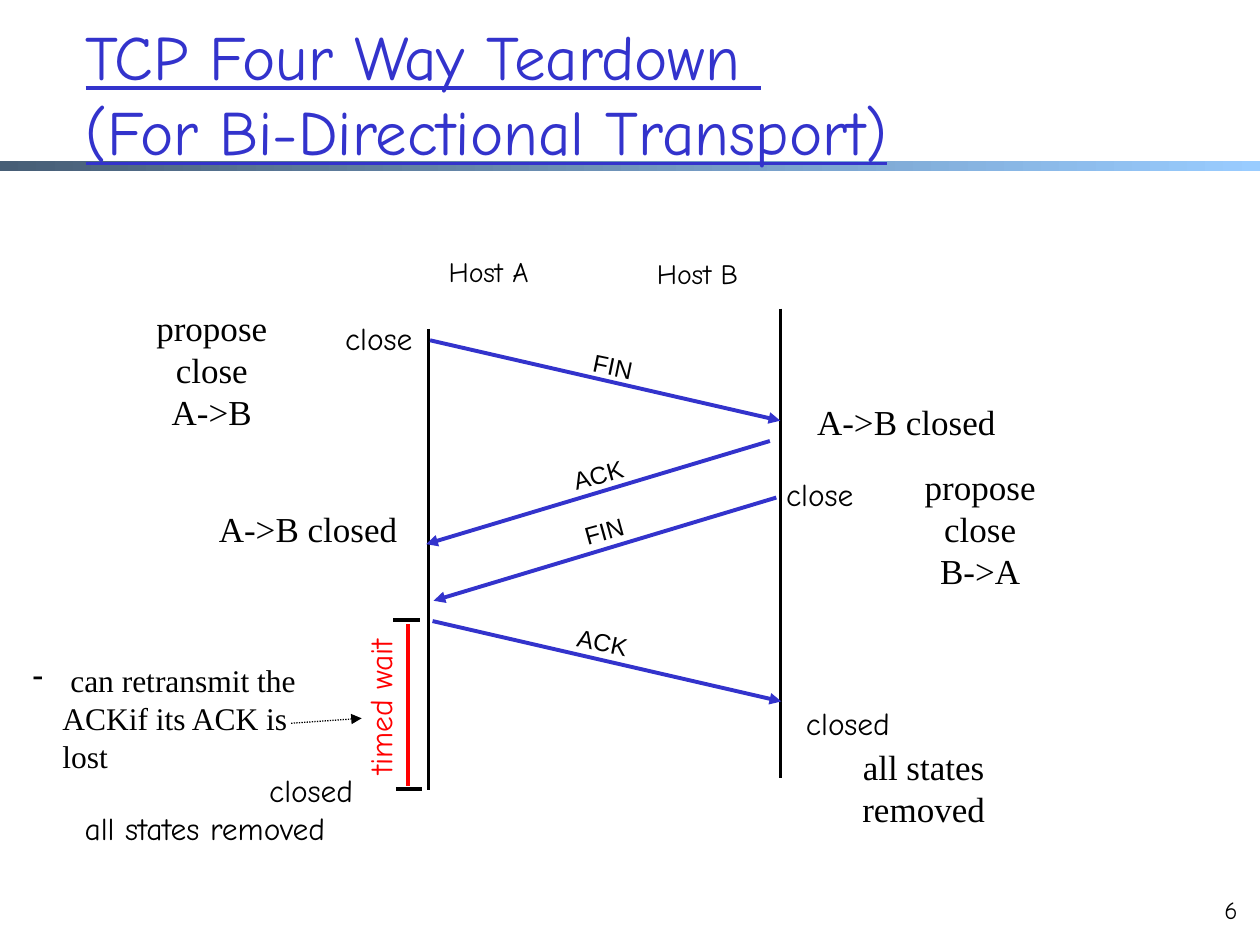
"""Builds a slide on how TCP closes a connection in both directions."""
from dataclasses import dataclass

import pptx
import pptx.dml.color
import pptx.enum.dml
import pptx.enum.shapes
import pptx.enum.text
import pptx.oxml.ns
import pptx.util
from lxml import etree

Cm = pptx.util.Cm
Pt = pptx.util.Pt
Align = pptx.enum.text.PP_ALIGN


@dataclass(frozen=True)
class Style:
    """Font, size in points and colour of a piece of text."""
    font: str
    size: int
    color: str = "000000"


class Theme:
    """Colours, line widths and text styles of the slide."""
    blue, red, black = "3333CC", "FF0000", "000000"
    band = ("475E76", "99CCFF")
    thick, medium, thin = 2.25, 1.5, 0.75
    title = Style("Comic Neue", 36, blue)
    host = Style("Comic Neue", 16)
    state = Style("Comic Neue", 18)
    wait = Style("Comic Neue", 18, red)
    page = Style("Comic Neue", 14)
    message = Style("Arial", 14)
    note = Style("Times New Roman", 20)
    remark = Style("Times New Roman", 18)


@dataclass(frozen=True)
class Box:
    """A rectangle in centimetres."""
    left: float
    top: float
    width: float
    height: float

    def inner(self, left, top, width, height):
        """Return a box placed relative to this one."""
        return Box(self.left + left, self.top + top, width, height)

    def centred(self, x, y, width, height):
        """Return a box centred on a point relative to this one."""
        return self.inner(x - width / 2, y - height / 2, width, height)

    def lengths(self):
        """Return left, top, width and height as lengths."""
        return [Cm(value) for value in (self.left, self.top, self.width, self.height)]


def rgb(color):
    """Return a colour object for a hex string."""
    return pptx.dml.color.RGBColor.from_string(color)


def style_paragraph(paragraph, style, align):
    """Apply font, colour and alignment to a paragraph."""
    paragraph.alignment = align
    paragraph.font.name = style.font
    paragraph.font.size = Pt(style.size)
    paragraph.font.color.rgb = rgb(style.color)


def add_text(slide, box, text, style, align=Align.CENTER, wrap=False, rotation=0):
    """Add a text box and return its text frame."""
    shape = slide.shapes.add_textbox(*box.lengths())
    shape.rotation = rotation
    frame = shape.text_frame
    frame.word_wrap = wrap
    frame.text = text
    for paragraph in frame.paragraphs:
        style_paragraph(paragraph, style, align)
    return frame


def add_line(slide, box, start, end, color, width, arrow=False, dash=None):
    """Add a straight line between two points relative to the box."""
    points = [Cm(value) for x, y in (start, end) for value in (box.left + x, box.top + y)]
    connector = slide.shapes.add_connector(pptx.enum.shapes.MSO_CONNECTOR.STRAIGHT, *points)
    connector.line.color.rgb = rgb(color)
    connector.line.width = Pt(width)
    if dash:
        connector.line.dash_style = dash
    properties = connector.element.spPr
    if arrow:
        outline = properties.find(pptx.oxml.ns.qn("a:ln"))
        etree.SubElement(outline, pptx.oxml.ns.qn("a:tailEnd"), type="triangle")
    etree.SubElement(properties, pptx.oxml.ns.qn("a:effectLst"))


def add_header(slide, box):
    """Place the gradient band and the title over it."""
    band = slide.shapes.add_shape(
        pptx.enum.shapes.MSO_SHAPE.RECTANGLE, *box.inner(0, 3.24, box.width, 0.2).lengths())
    band.shadow.inherit = False
    band.line.fill.background()
    band.fill.gradient()
    band.fill.gradient_angle = 0
    for stop, color in zip(band.fill.gradient_stops, Theme.band):
        stop.color.rgb = rgb(color)

    title = slide.shapes.title
    title.left, title.top, title.width, title.height = box.inner(1.47, 0.28, 22.28, 3.18).lengths()
    slide.shapes.element.append(title.element)
    frame = title.text_frame
    frame.text = "TCP Four Way Teardown \v(For Bi-Directional Transport)"
    frame.vertical_anchor = pptx.enum.text.MSO_ANCHOR.MIDDLE
    paragraph = frame.paragraphs[0]
    style_paragraph(paragraph, Theme.title, Align.LEFT)
    paragraph.font.underline = True


def add_exchange(slide, box):
    """Draw both host timelines and the messages between them."""
    hosts = [
        ("Host A", (1.21, 0.47), 0, 1.63, 10.92),
        ("Host B", (5.42, 0.52), box.width, 1.22, 10.69),
    ]
    for name, centre, x, top, bottom in hosts:
        add_text(slide, box.centred(*centre, 2.4, 0.94), name, Theme.host)
        add_line(slide, box, (x, top), (x, bottom), Theme.black, Theme.medium)
    messages = [
        ("FIN", (0.03, 1.86), (7.09, 3.48), (3.72, 2.38), 11.8),
        ("ACK", (6.88, 3.89), (-0.05, 5.97), (3.42, 4.56), -15.4),
        ("FIN", (7.01, 5.03), (0.1, 7.11), (3.54, 5.7), -15.4),
        ("ACK", (0.08, 7.52), (7.11, 9.14), (3.51, 7.94), 11.8),
    ]
    for name, start, end, centre, rotation in messages:
        add_line(slide, box, start, end, Theme.blue, Theme.thick, arrow=True)
        add_text(slide, box.centred(*centre, 1.6, 0.84), name, Theme.message, rotation=rotation)


def add_host_a_notes(slide, box):
    """Place the states and remarks beside host A."""
    add_text(slide, box.inner(2.08, 0, 3.56, 2.8), "propose close\vA->B", Theme.note, wrap=True)
    add_text(slide, box.inner(6.22, 0.25, 2.01, 1.02), "close", Theme.state)
    add_text(slide, box.inner(3.4, 4.06, 4.8, 1.09), "A->B closed", Theme.note)
    ending = add_text(slide, box.inner(0.48, 9.37, 6.48, 1.78),
                      "closed\nall states removed", Theme.state, wrap=True)
    ending.paragraphs[0].alignment = Align.RIGHT

    remark = add_text(slide, box.inner(0, 7.16, 6.15, 2.6), "", Theme.remark, wrap=True)
    paragraph = remark.paragraphs[0]
    paragraph.text = " can retransmit the \vACKif its ACK is lost"
    properties = paragraph._p.get_or_add_pPr()
    properties.set("marL", str(Cm(0.6)))
    properties.set("indent", str(-Cm(0.6)))
    bullet = etree.Element(pptx.oxml.ns.qn("a:buChar"), char="-")
    properties.find(pptx.oxml.ns.qn("a:defRPr")).addprevious(bullet)
    paragraph.alignment = Align.LEFT


def add_host_b_notes(slide, box):
    """Place the states and remarks beside host B."""
    add_text(slide, box.inner(0.35, 0, 4.8, 1.09), "A->B closed", Theme.note)
    add_text(slide, box.inner(0, 1.5, 2.01, 1.02), "close", Theme.state)
    add_text(slide, box.inner(2.46, 1.3, 3.56, 2.8), "propose close\vB->A", Theme.note, wrap=True)
    add_text(slide, box.inner(0.38, 6.12, 2.39, 1.02), "closed", Theme.state)
    add_text(slide, box.inner(1.32, 6.96, 3.56, 1.95), "all states removed", Theme.note, wrap=True)


def add_timed_wait(slide, box):
    """Draw the waiting span with its end caps, label and pointer."""
    add_line(slide, box, (2.36, 0.08), (2.36, 3.35), Theme.red, Theme.thick)
    for x, y in ((2.06, 0), (2.11, box.height)):
        add_line(slide, box, (x, y), (x + 0.53, y), Theme.black, Theme.thick)
    add_text(slide, box.centred(1.79, 1.75, 3.63, 1.02), "timed wait", Theme.wait, rotation=270)
    add_line(slide, box, (0, 2.08), (1.42, 1.98), Theme.black, Theme.thin, arrow=True,
             dash=pptx.enum.dml.MSO_LINE.ROUND_DOT)


def add_page_number(slide, box):
    """Place the page number."""
    add_text(slide, box, "6", Theme.page, Align.RIGHT, wrap=True)


def main():
    """Build and save the slide."""
    presentation = pptx.Presentation()
    presentation.slide_width, presentation.slide_height = Cm(25.4), Cm(19.05)
    slide = presentation.slides.add_slide(presentation.slide_layouts[5])
    add_header(slide, Box(0, 0, 25.4, 3.46))
    add_exchange(slide, Box(8.64, 5, 7.09, 10.92))
    add_host_a_notes(slide, Box(0.41, 6.05, 8.23, 11.15))
    add_host_b_notes(slide, Box(15.52, 7.95, 6.02, 8.91))
    add_timed_wait(slide, Box(5.87, 12.5, 2.64, 3.4))
    add_page_number(slide, Box(24.03, 17.91, 1.17, 0.97))
    presentation.save("out.pptx")


if __name__ == "__main__":
    main()
